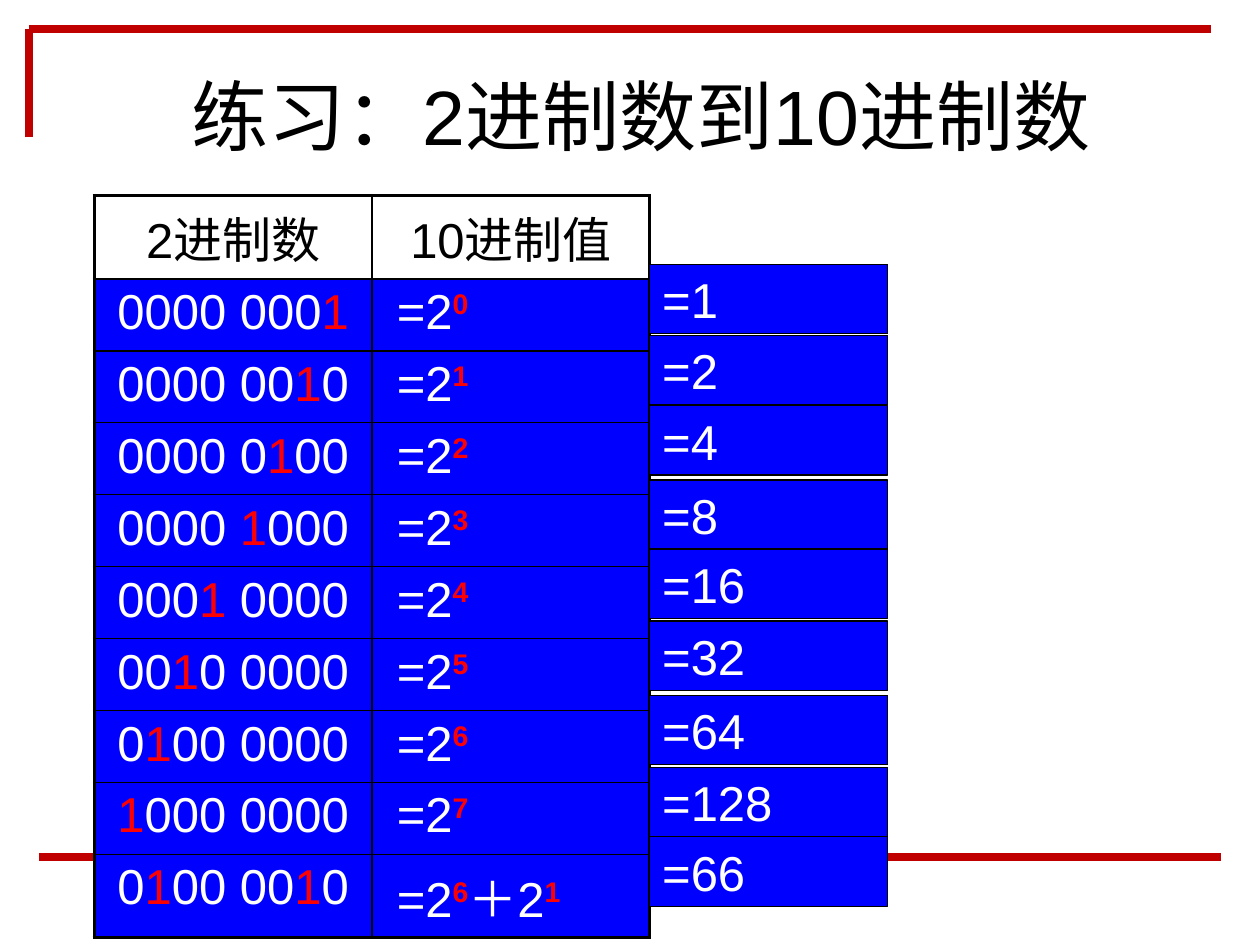
from lxml import etree
from pptx import Presentation
from pptx import util as u
from pptx.dml.color import RGBColor
from pptx.enum import shapes, text
from pptx.oxml.ns import qn

COLORS = {"rule": "C00000", "black": "000000", "white": "FFFFFF",
          "blue": "0000FF", "red": "FF0000"}


def style(font, size, color):
    font.name = "Arial"
    font.size = u.Pt(size)
    font.color.rgb = RGBColor.from_string(COLORS[color])


def add_border(cell, side, width):
    line = etree.SubElement(cell._tc.get_or_add_tcPr(), qn(f"a:ln{side}"),
                            w=str(u.Pt(width)))
    fill = etree.SubElement(line, qn("a:solidFill"))
    etree.SubElement(fill, qn("a:srgbClr"), val=COLORS["black"])


deck = Presentation()
deck.slide_width, deck.slide_height = u.Cm(25.4), u.Cm(19.05)
page = deck.slides.add_slide(deck.slide_layouts[5])

# Title
title = page.shapes.title
title.left, title.top = u.Cm(2.7), u.Cm(1.52)
title.width, title.height = u.Cm(20.45), u.Cm(1.58)
title.text_frame.text = "练习：2进制数到10进制数"
title.text_frame.vertical_anchor = text.MSO_ANCHOR.MIDDLE
title.text_frame.paragraphs[0].alignment = text.PP_ALIGN.CENTER
style(title.text_frame.paragraphs[0].runs[0].font, 44, "black")

# Red frame lines
for ends in [(0.58, 2.77, 0.58, 0.58), (0.58, 0.58, 24.41, 0.58),
             (0.79, 17.27, 24.61, 17.27)]:
    rule = page.shapes.add_connector(shapes.MSO_CONNECTOR.STRAIGHT,
                                     *[u.Cm(value) for value in ends])
    rule.line.color.rgb = RGBColor.from_string(COLORS["rule"])
    rule.line.width = u.Pt(4.5)
    etree.SubElement(rule._element.spPr, qn("a:effectLst"))

# Conversion table: "|" switches between plain and highlighted digits
rows = [("2进制数", "10进制值")]
for power in range(8):
    digits = "0" * (7 - power) + "1" + "0" * power
    binary = f"{digits[:4]} {digits[4:]}".replace("1", "|1|")
    rows.append((binary, f"=2|{power}"))
rows.append(("0|1|00 00|1|0", "=2|6|＋2|1"))

table = page.shapes.add_table(len(rows), 2, u.Cm(1.9), u.Cm(3.94),
                              u.Cm(11.2), u.Cm(1.45 * len(rows))).table
table.first_row = table.horz_banding = False
for r, row in enumerate(rows):
    for c, content in enumerate(row):
        cell = table.cell(r, c)
        outer = {"L": c == 0, "R": c == 1, "T": r == 0, "B": r == len(rows) - 1}
        for side, is_outer in outer.items():
            add_border(cell, side, 2.25 if is_outer else 1)
        if r == 0:
            cell.fill.background()
        else:
            cell.fill.solid()
            cell.fill.fore_color.rgb = RGBColor.from_string(COLORS["blue"])
        is_power = r > 0 and c == 1
        if is_power:
            cell.margin_left = u.Cm(0.5)
        para = cell.text_frame.paragraphs[0]
        para.alignment = text.PP_ALIGN.LEFT if is_power else text.PP_ALIGN.CENTER
        for i, part in enumerate(content.split("|")):
            if not part:
                continue
            span = para.add_run()
            span.text = part
            marked = i % 2 == 1
            style(span.font, 28, "black" if r == 0 else "red" if marked else "white")
            if marked and is_power:
                span.font.bold = True
                span.font._element.set("baseline", "30000")

# Decimal results beside the table
tops = [5.33, 6.76, 8.18, 9.68, 11.07, 12.52, 14.02, 15.47, 16.87]
values = [2 ** power for power in range(8)] + [66]
for top, value in zip(tops, values):
    box = page.shapes.add_shape(shapes.MSO_SHAPE.RECTANGLE, u.Cm(13.1), u.Cm(top),
                                u.Cm(4.8), u.Cm(1.4))
    box.shadow.inherit = False
    box.fill.solid()
    box.fill.fore_color.rgb = RGBColor.from_string(COLORS["blue"])
    box.line.color.rgb = RGBColor.from_string(COLORS["black"])
    box.line.width = u.Pt(0.75)
    box.text_frame.text = f"={value}"
    box.text_frame.word_wrap = False
    box.text_frame.vertical_anchor = text.MSO_ANCHOR.MIDDLE
    para = box.text_frame.paragraphs[0]
    para.alignment = text.PP_ALIGN.LEFT
    style(para.runs[0].font, 28, "white")

deck.save("out.pptx")
